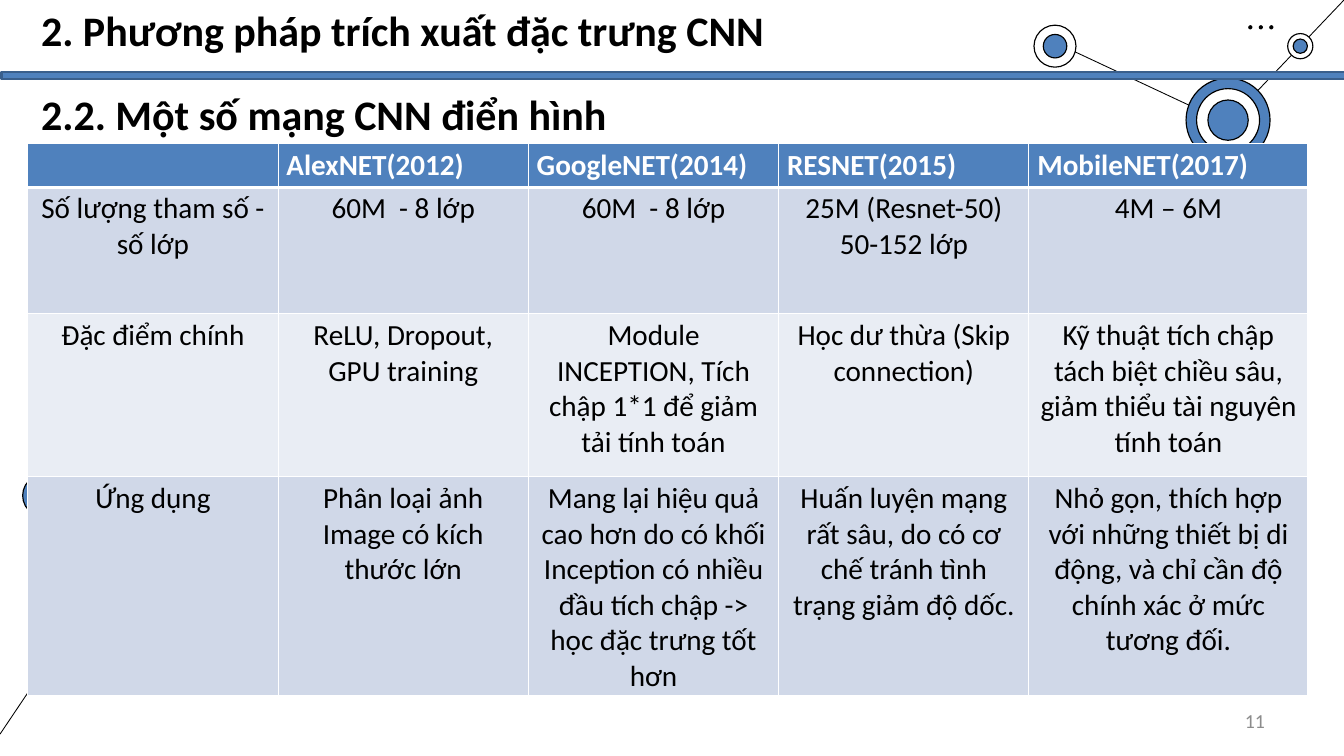
from lxml import etree
from pptx import Presentation
from pptx.dml.color import RGBColor
from pptx.enum.shapes import MSO_CONNECTOR, MSO_SHAPE
from pptx.enum.text import MSO_ANCHOR, PP_ALIGN
from pptx.oxml.ns import qn
from pptx.util import Inches, Pt

OVAL, RECTANGLE = MSO_SHAPE.OVAL, MSO_SHAPE.RECTANGLE
STRAIGHT = MSO_CONNECTOR.STRAIGHT
LEFT, CENTER, RIGHT = PP_ALIGN.LEFT, PP_ALIGN.CENTER, PP_ALIGN.RIGHT
TOP, MIDDLE = MSO_ANCHOR.TOP, MSO_ANCHOR.MIDDLE

BLUE, DARK_BLUE, WHITE, BLACK, GRAY = "4F81BD", "3A5F8C", "FFFFFF", "000000", "8C8C8C"
BANDS = ["D0D8E8", "E9EDF4"]

# Node centres with their rings as (diameter, fill), outermost first
NODES = [
    (0.52, 5.9, [(0.5, BLUE), (0.38, WHITE), (0.24, BLUE)]),
    (14.62, 1.43, [(1, BLUE), (0.75, WHITE), (0.48, BLUE)]),
    (12.56, 0.55, [(0.5, WHITE), (0.28, BLUE)]),
    (15.48, 0.55, [(0.3, WHITE), (0.17, BLUE)]),
]
LINKS = [(0, 8.74, 0.78, 7.58), (14.62, 1.47, 12.59, 0.52), (16, 0, 14.62, 1.45)]

COLUMN_WIDTHS = [2.98, 2.98, 2.98, 2.98, 3.32]
ROW_HEIGHTS = [0.5, 1.51, 1.94, 2.5]
NETWORKS = [
    ["", "AlexNET(2012)", "GoogleNET(2014)", "RESNET(2015)", "MobileNET(2017)"],
    ["Số lượng tham số - số lớp", "60M  - 8 lớp", "60M  - 8 lớp",
     "25M (Resnet-50)\n50-152 lớp", "4M – 6M"],
    ["Đặc điểm chính", "ReLU, Dropout, GPU training",
     "Module INCEPTION, Tích chập 1*1 để giảm tải tính toán",
     "Học dư thừa (Skip connection)",
     "Kỹ thuật tích chập tách biệt chiều sâu, giảm thiểu tài nguyên tính toán"],
    ["Ứng dụng", "Phân loại ảnh Image có kích thước lớn",
     "Mang lại hiệu quả cao hơn do có khối Inception có nhiều đầu tích chập -> "
     "học đặc trưng tốt hơn",
     "Huấn luyện mạng rất sâu, do có cơ chế tránh tình trạng giảm độ dốc.",
     "Nhỏ gọn, thích hợp với những thiết bị di động, và chỉ cần độ chính xác ở mức "
     "tương đối."],
]


def color(value):
    return RGBColor.from_string(value)


class SlideBuilder:
    def __init__(self, slide, font="Calibri"):
        self.slide = slide
        self.font = font

    def format_text(self, text_frame, size, text_color, bold=False, align=LEFT):
        for paragraph in text_frame.paragraphs:
            paragraph.alignment = align
            for run in paragraph.runs:
                run.font.name = self.font
                run.font.size = Pt(size)
                run.font.bold = bold
                run.font.color.rgb = color(text_color)

    def shape(self, kind, left, top, width, height, fill, line=None, line_width=1):
        shape = self.slide.shapes.add_shape(
            kind, Inches(left), Inches(top), Inches(width), Inches(height))
        shape.shadow.inherit = False
        shape.fill.solid()
        shape.fill.fore_color.rgb = color(fill)
        if line:
            shape.line.color.rgb = color(line)
            shape.line.width = Pt(line_width)
        else:
            shape.line.fill.background()

    def node(self, x, y, rings):
        for diameter, fill in rings:
            self.shape(OVAL, x - diameter / 2, y - diameter / 2,
                       diameter, diameter, fill, BLACK)

    def link(self, x1, y1, x2, y2):
        connector = self.slide.shapes.add_connector(
            STRAIGHT, Inches(x1), Inches(y1), Inches(x2), Inches(y2))
        connector.line.color.rgb = color(BLACK)
        connector.line.width = Pt(0.75)
        properties = connector._element.find(qn("p:spPr"))
        etree.SubElement(properties, qn("a:effectLst"))

    def text(self, content, left, top, width, height, size, text_color,
             bold=False, align=LEFT, anchor=TOP):
        box = self.slide.shapes.add_textbox(
            Inches(left), Inches(top), Inches(width), Inches(height))
        text_frame = box.text_frame
        text_frame.word_wrap = True
        text_frame.vertical_anchor = anchor
        text_frame.text = content
        self.format_text(text_frame, size, text_color, bold, align)
        return text_frame

    def cell_borders(self, cell, widths):
        properties = cell._tc.get_or_add_tcPr()
        for side, width in widths.items():
            line = etree.SubElement(properties, qn(f"a:ln{side}"), w=str(Pt(width)))
            fill = etree.SubElement(line, qn("a:solidFill"))
            etree.SubElement(fill, qn("a:srgbClr"), val=WHITE)

    def table(self, rows, left, top, column_widths, row_heights, size):
        table = self.slide.shapes.add_table(
            len(rows), len(column_widths), Inches(left), Inches(top),
            Inches(sum(column_widths)), Inches(sum(row_heights))).table
        for column, width in zip(table.columns, column_widths):
            column.width = Inches(width)
        for i, (row, height) in enumerate(zip(rows, row_heights)):
            table.rows[i].height = Inches(height)
            header = i == 0
            borders = {"L": 1, "R": 1, "T": 3 if i == 1 else 1, "B": 3 if header else 1}
            for j, content in enumerate(row):
                cell = table.cell(i, j)
                cell.text_frame.text = content
                self.format_text(cell.text_frame, size, WHITE if header else BLACK,
                                 header, LEFT if header else CENTER)
                self.cell_borders(cell, borders)
                cell.fill.solid()
                cell.fill.fore_color.rgb = color(BLUE if header else BANDS[(i - 1) % 2])


def main():
    presentation = Presentation()
    presentation.slide_width = Inches(16)
    presentation.slide_height = Inches(8.75)
    presentation.slide_height = Inches(9)
    builder = SlideBuilder(presentation.slides.add_slide(presentation.slide_layouts[6]))

    # Network decoration
    for link in LINKS:
        builder.link(*link)
    for node in NODES:
        builder.node(*node)
    for i in range(3):
        builder.shape(OVAL, 14.86 + i * 0.125, 0.3, 0.05, 0.05, BLACK)

    # Headings and divider
    builder.shape(RECTANGLE, 0.02, 0.86, 16.07, 0.08, BLUE, DARK_BLUE, 2)
    builder.text("2. Phương pháp trích xuất đặc trưng CNN", 0.39, 0, 8.91, 0.71,
                 36, BLACK, bold=True)
    builder.text("2.2. Một số mạng CNN điển hình", 0.39, 1, 15.19, 0.71,
                 36, BLACK, bold=True)

    # Comparison of networks
    builder.table(NETWORKS, 0.33, 1.71, COLUMN_WIDTHS, ROW_HEIGHTS, 25)

    # Page number
    number = builder.text("11", 11.47, 8.34, 3.73, 0.48, 17, GRAY,
                          align=RIGHT, anchor=MIDDLE)
    number.margin_left = number.margin_right = Inches(0.14)

    presentation.save("out.pptx")


if __name__ == "__main__":
    main()
